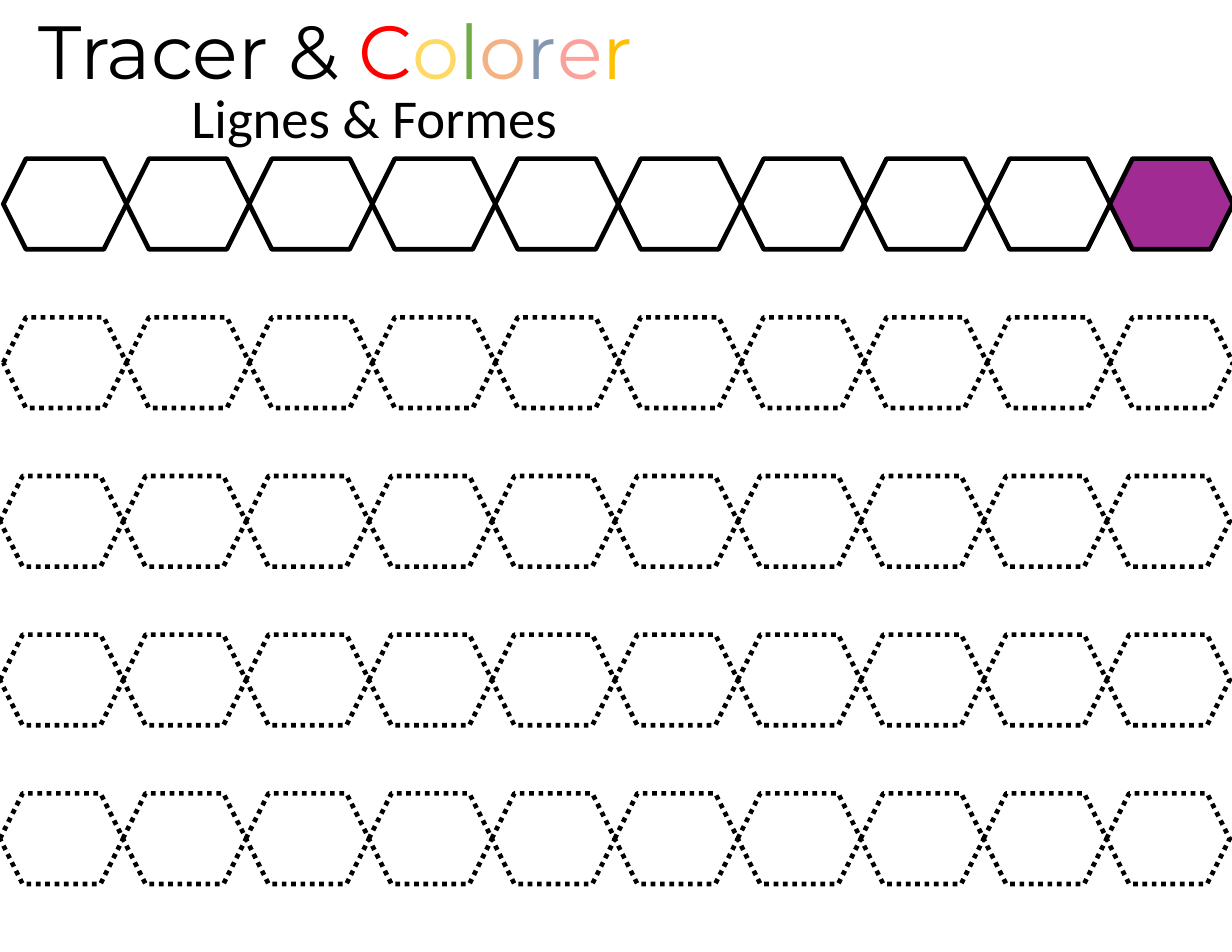
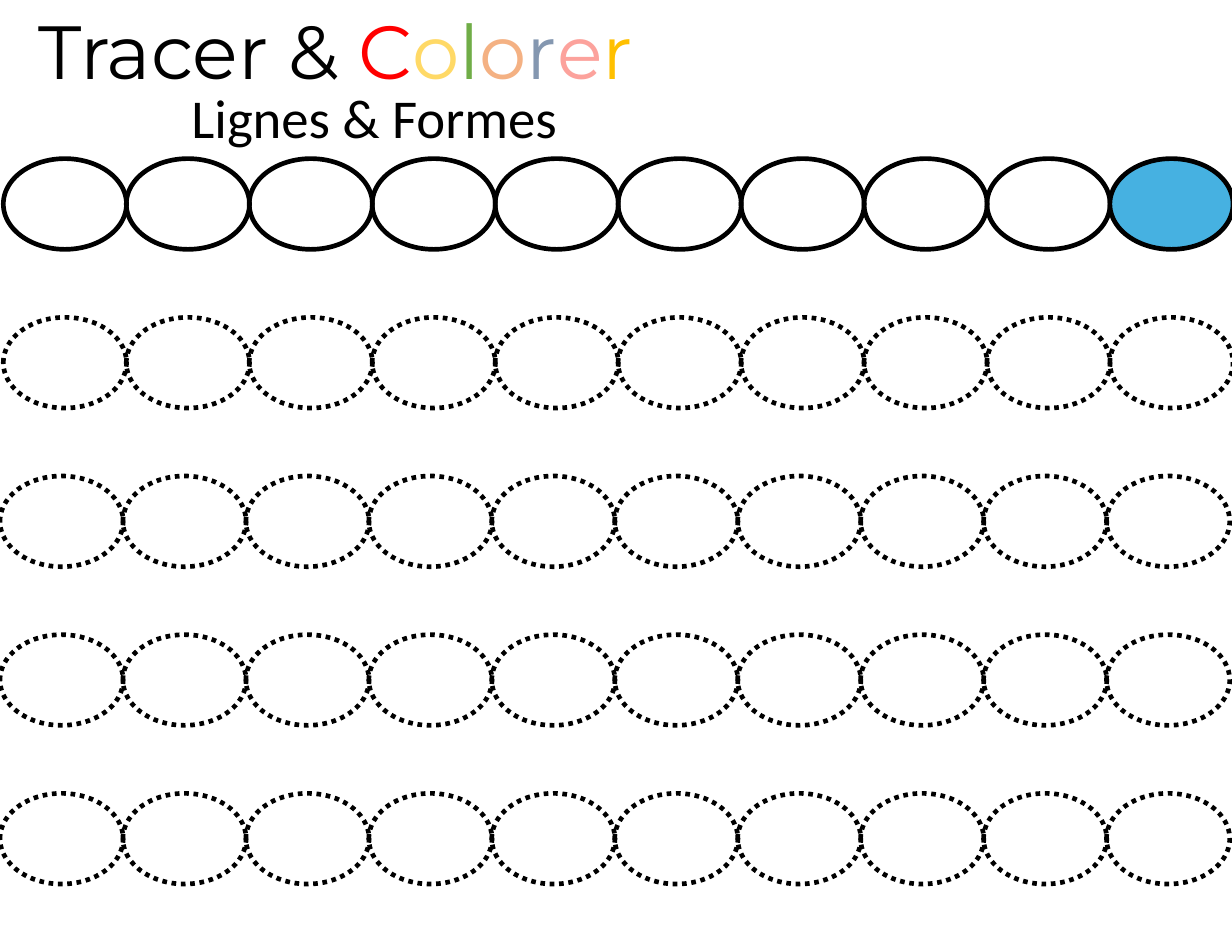
"""Builds two tracing and colouring worksheets: hexagons and ovals."""
from pptx import Presentation
from pptx.dml.color import RGBColor
from pptx.enum.dml import MSO_LINE
from pptx.enum.shapes import MSO_SHAPE
from pptx.enum.text import MSO_ANCHOR, MSO_AUTO_SIZE, PP_ALIGN
from pptx.util import Inches, Pt

HEXAGON, OVAL = MSO_SHAPE.HEXAGON, MSO_SHAPE.FLOWCHART_CONNECTOR
DOTTED = MSO_LINE.ROUND_DOT
TOP = MSO_ANCHOR.TOP
GROW = MSO_AUTO_SIZE.SHAPE_TO_FIT_TEXT
LEFT, CENTER = PP_ALIGN.LEFT, PP_ALIGN.CENTER

BLACK = RGBColor(0x00, 0x00, 0x00)
PURPLE = RGBColor(0xA0, 0x2B, 0x93)
BLUE = RGBColor(0x46, 0xB1, 0xE1)
RED = RGBColor(0xFF, 0x00, 0x00)
YELLOW = RGBColor(0xFF, 0xD9, 0x66)
GREEN = RGBColor(0x70, 0xAD, 0x47)
ORANGE = RGBColor(0xF4, 0xB1, 0x83)
SLATE = RGBColor(0x84, 0x97, 0xB0)
PINK = RGBColor(0xFC, 0xA2, 0x9C)
GOLD = RGBColor(0xFF, 0xC0, 0x00)

WIDTH, HEIGHT = 11, 8.5
COLUMNS = 10
COLUMN_STEP = 9.88 / (COLUMNS - 1)
ROW_STEP = HEIGHT / 6
ROW_LEFTS = (0.03, 0.03, 0, 0, 0)
SHAPE_SIZE = (Inches(1.1), Inches(0.81))
TITLE_RUNS = [("Tracer & ", BLACK)] + list(
    zip("Colorer", (RED, YELLOW, GREEN, ORANGE, SLATE, PINK, GOLD)))
TITLE_ONLY = 5


class Worksheet:
    """Holds the shared style and the current slide."""

    def __init__(self, prs):
        self.prs = prs
        self.s = None

    def new_slide(self):
        layout = self.prs.slide_layouts[TITLE_ONLY]
        self.s = self.prs.slides.add_slide(layout)
        self.title()
        self.subtitle("Lignes & Formes")

    def text_frame(self, sp):
        tf = sp.text_frame
        tf.word_wrap = True
        tf.auto_size = GROW
        tf.vertical_anchor = TOP
        return tf

    def title(self):
        sp = self.s.shapes.title
        sp.left, sp.top = Inches(0.24), Inches(-0.01)
        sp.width, sp.height = Inches(6.42), Inches(0.92)
        p = self.text_frame(sp).paragraphs[0]
        p.alignment = LEFT
        p.font.name, p.font.size = "Montserrat", Pt(48.4)
        for text, color in TITLE_RUNS:
            r = p.add_run()
            r.text = text
            r.font.color.rgb = color

    def subtitle(self, text):
        sp = self.s.shapes.add_textbox(
            Inches(0.78), Inches(0.7), Inches(5.12), Inches(0.69))
        p = self.text_frame(sp).paragraphs[0]
        p.text = text
        p.alignment = CENTER
        p.font.name, p.font.size = "Calibri", Pt(35.2)
        p.font.color.rgb = BLACK

    def outline(self, group, kind, left, top, dotted):
        sp = group.shapes.add_shape(kind, Inches(left), Inches(top), *SHAPE_SIZE)
        sp.shadow.inherit = False
        sp.fill.background()
        sp.line.color.rgb = BLACK
        sp.line.width = Pt(3)
        if dotted:
            sp.line.dash_style = DOTTED
        return sp

    def row(self, kind, left, top, dotted):
        group = self.s.shapes.add_group_shape()
        return [self.outline(group, kind, left + i * COLUMN_STEP, top, dotted)
                for i in range(COLUMNS)]

    def rows(self, kind, color):
        for i, left in enumerate(ROW_LEFTS):
            shapes = self.row(kind, left, (i + 1) * ROW_STEP, dotted=i > 0)
            if i == 0:
                shapes[-1].fill.solid()
                shapes[-1].fill.fore_color.rgb = color


def main():
    prs = Presentation()
    prs.slide_width, prs.slide_height = Inches(WIDTH), Inches(HEIGHT)
    sheet = Worksheet(prs)
    for kind, color in ((HEXAGON, PURPLE), (OVAL, BLUE)):
        sheet.new_slide()
        sheet.rows(kind, color)
    prs.save("out.pptx")


if __name__ == "__main__":
    main()
